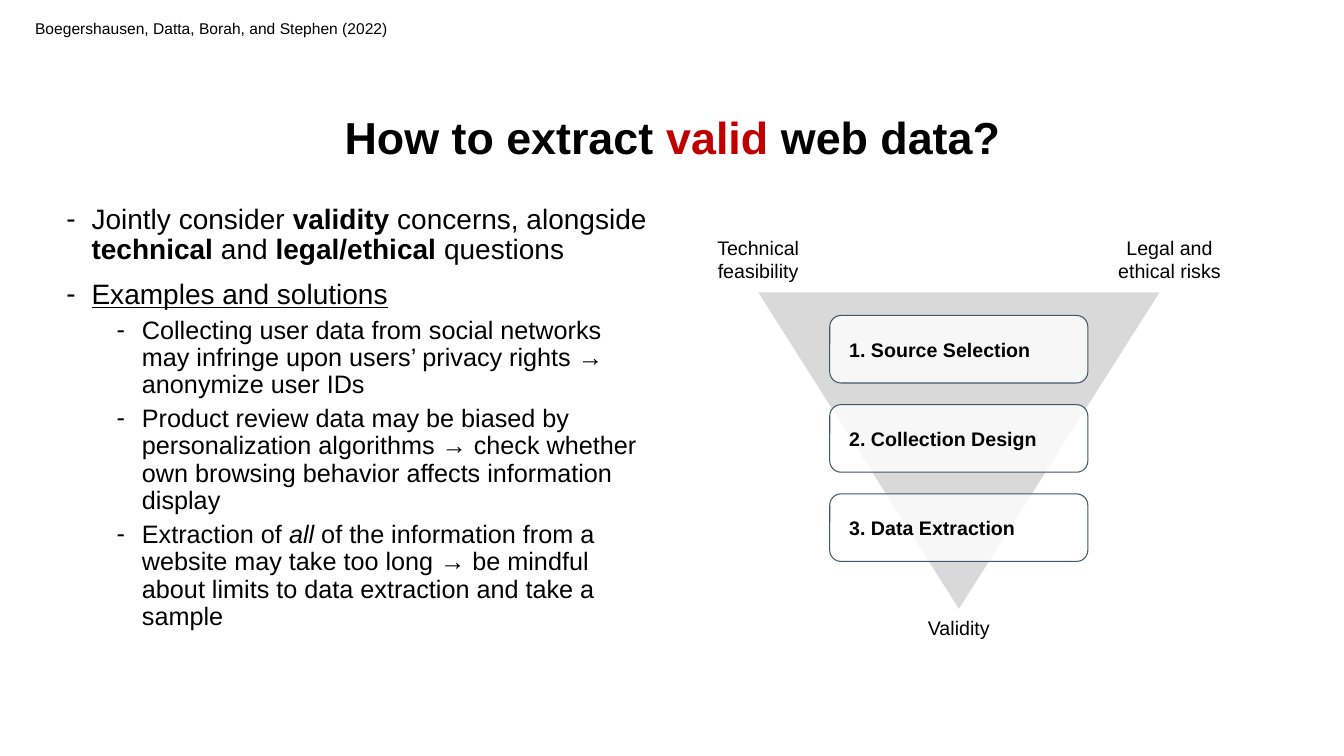
from lxml.etree import SubElement
from pptx import Presentation
from pptx.dml.color import RGBColor
from pptx.enum.shapes import MSO_SHAPE as Shape
from pptx.enum.text import MSO_ANCHOR as Anchor, PP_ALIGN as Align
from pptx.oxml.ns import qn
from pptx.util import Inches, Pt

WIDTH, HEIGHT = 13.33, 7.5
BLACK, RED, GREY, NAVY, WHITE = "000000", "C00000", "D9D9D9", "44546A", "FFFFFF"
STEPS = ["1. Source Selection", "2. Collection Design", "3. Data Extraction"]
POINTS = [
    (0, [("Jointly consider ", ""), ("validity", "bold"), (" concerns, alongside ", ""),
         ("technical", "bold"), (" and ", ""), ("legal/ethical ", "bold"), ("questions", "")]),
    (0, [("Examples and solutions", "underline")]),
    (1, [("Collecting user data from social networks may infringe upon users’ "
          "privacy rights → anonymize user IDs", "")]),
    (1, [("Product review data may be biased by personalization algorithms → check "
          "whether own browsing behavior affects information display", "")]),
    (1, [("Extraction of ", ""), ("all", "italic"),
         (" of the information from a website may take too long → be mindful about "
          "limits to data extraction and take a sample", "")]),
]


def color(value):
    return RGBColor.from_string(value)


def add_run(paragraph, text, size, style="", tint=BLACK):
    run = paragraph.add_run()
    run.text = text
    run.font.name = "Arial"
    run.font.size = Pt(size)
    run.font.color.rgb = color(tint)
    if style:
        setattr(run.font, style, True)


def add_text_box(slide, box, anchor=Anchor.TOP):
    frame = slide.shapes.add_textbox(*map(Inches, box)).text_frame
    frame.word_wrap = True
    frame.vertical_anchor = anchor
    return frame


def add_shape(slide, kind, box, fill):
    shape = slide.shapes.add_shape(kind, *map(Inches, box))
    shape.shadow.inherit = False
    shape.fill.solid()
    shape.fill.fore_color.rgb = color(fill)
    return shape


def add_citation(slide, box):
    paragraph = add_text_box(slide, box).paragraphs[0]
    paragraph.line_spacing = 0.8
    paragraph.space_before = Pt(10)
    add_run(paragraph, "Boegershausen, Datta, Borah, and Stephen (2022)", 11.1)


def add_title(slide, box):
    paragraph = add_text_box(slide, box, Anchor.MIDDLE).paragraphs[0]
    paragraph.alignment = Align.CENTER
    paragraph.line_spacing = 0.9
    for text, tint in [("How to extract ", BLACK), ("valid", RED), (" web data?", BLACK)]:
        add_run(paragraph, text, 32, "bold", tint)


def add_points(slide, box):
    frame = add_text_box(slide, box)
    for index, (level, runs) in enumerate(POINTS):
        paragraph = frame.add_paragraph() if index else frame.paragraphs[0]
        paragraph.level = level
        paragraph.line_spacing = 0.9
        paragraph.space_before = Pt(5 if level else 10)
        properties = paragraph._p.get_or_add_pPr()
        properties.set("marL", str(Inches(0.25 + 0.5 * level)))
        properties.set("indent", str(Inches(-0.25)))
        SubElement(properties, qn("a:buFont"), typeface="Arial")
        SubElement(properties, qn("a:buChar"), char="-")
        for text, style in runs:
            add_run(paragraph, text, 18 if level else 20, style)


def add_corner_label(slide, text, center, middle, width):
    height = 0.41
    box = (center - width / 2, middle - height / 2, width, height)
    frame = add_text_box(slide, box, Anchor.MIDDLE)
    frame.margin_top = frame.margin_bottom = Inches(0.1)
    paragraph = frame.paragraphs[0]
    paragraph.alignment = Align.CENTER
    add_run(paragraph, text, 14)


def add_step(slide, text, box):
    shape = add_shape(slide, Shape.FLOWCHART_ALTERNATE_PROCESS, box, WHITE)
    SubElement(shape.fill._xPr.find(".//" + qn("a:srgbClr")), qn("a:alpha"), val="80000")
    shape.line.color.rgb = color(NAVY)
    shape.line.width = Pt(0.75)
    frame = shape.text_frame
    frame.word_wrap = True
    frame.vertical_anchor = Anchor.MIDDLE
    frame.margin_left = frame.margin_right = Inches(0.16)
    paragraph = frame.paragraphs[0]
    paragraph.alignment = Align.LEFT
    add_run(paragraph, text, 14, "bold")


def add_triangle_diagram(slide, box):
    left, top, width, height = box
    center = left + width / 2
    triangle = add_shape(slide, Shape.ISOSCELES_TRIANGLE, box, GREY)
    triangle.rotation = 180
    triangle.line.fill.background()
    add_corner_label(slide, "Technical feasibility", left, top - 0.33, 1.65)
    add_corner_label(slide, "Legal and ethical risks", left + width + 0.1, top - 0.33, 1.54)
    add_corner_label(slide, "Validity", center, top + height + 0.19, 1)
    step_width, step_height, pitch = 2.56, 0.67, 0.885
    for row, text in enumerate(STEPS):
        step_top = top + 0.23 + row * pitch
        add_step(slide, text, (center - step_width / 2, step_top, step_width, step_height))


def main():
    presentation = Presentation()
    presentation.slide_width = Inches(WIDTH)
    presentation.slide_height = Inches(HEIGHT)
    slide = presentation.slides.add_slide(presentation.slide_layouts[6])
    add_title(slide, (0.92, 0.92, 11.5, 0.93))
    add_citation(slide, (0.25, 0.17, 4.34, 0.25))
    add_triangle_diagram(slide, (7.52, 2.9, 3.98, 3.14))
    add_points(slide, (0.56, 1.99, 6, 4.07))
    presentation.save("out.pptx")


if __name__ == "__main__":
    main()
